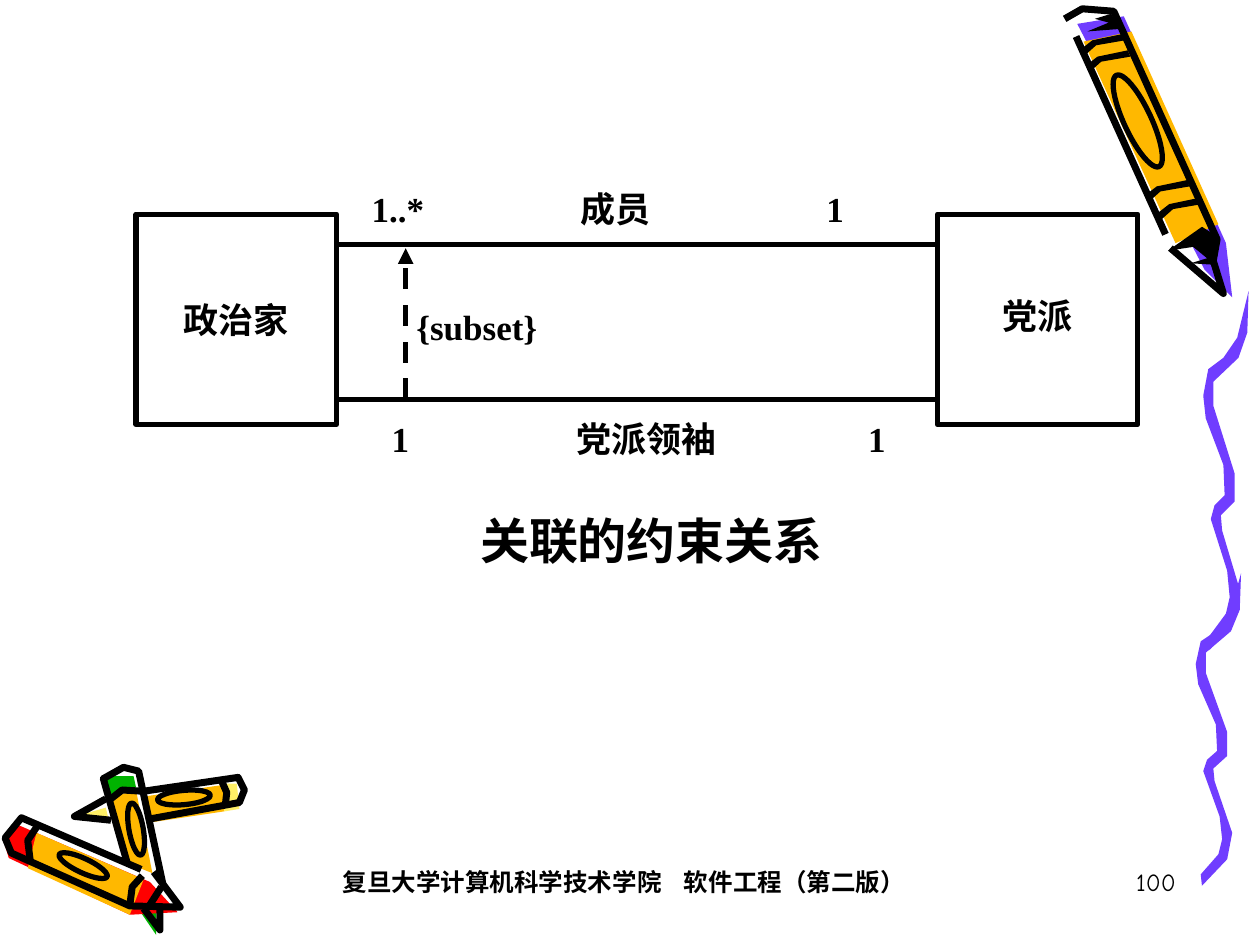
from pptx import Presentation
from pptx.dml.color import RGBColor
from pptx.enum.dml import MSO_LINE
from pptx.enum.shapes import MSO_CONNECTOR, MSO_SHAPE
from pptx.enum.text import MSO_ANCHOR, PP_ALIGN
from pptx.oxml.ns import qn
from pptx.util import Inches, Pt
from lxml.etree import SubElement

COLORS = {"black": "000000", "white": "FFFFFF", "paper": "F8F8F8", "purple": "703DFF",
          "orange": "FFB800", "yellow": "FFEF66", "red": "FF0000", "green": "00B200"}
SERIF, COMIC = "Times New Roman", "Comic Neue"

# Diagram content: places are left, top, width, height in inches
CLASSES = [("政治家", 1.08, 1.0), ("党派", 7.44, 0.8)]  # name, left, line spacing
CLASS_TOP, CLASS_WIDTH, CLASS_HEIGHT = 1.7, 1.59, 1.67
ASSOCIATIONS = [  # box, words with the centre of each, y of the line
    ((2.83, 1.5, 4.48, 0.58), [("1..*", 3.16), ("成员", 4.89), ("1", 6.63)], 1.94),
    ((2.83, 3.33, 4.48, 0.5), [("1", 3.18), ("党派领袖", 5.13), ("1", 6.96)], 3.17),
]
CONSTRAINT = ("{subset}", (2.92, 2.26, 1.73, 0.72))
CONSTRAINT_X, CONSTRAINT_TOP = 3.22, 1.97
CAPTION = ("关联的约束关系", (3.67, 4.09, 3, 0.58))
FOOTER = ((2, 6.83, 5.92, 0.5), [("复旦大学计算机科学技术学院", 2.72), ("软件工程（第二版）", 5.43)])
PAGE_NUMBER = ("100", (7.35, 6.83, 2.08, 0.5))
INSET = 0.1

# Crayons and squiggle, in hundredths of an inch, back to front
CRAYON_FILLS = [
    ("purple", [(855, 19), (956, 214), (978, 236), (973, 193), (892, 13)]),
    ("orange", [(933, 193), (967, 178), (898, 25), (860, 33)]),
    ("black", [(927, 199), (954, 180), (968, 189), (961, 210), (945, 209), (958, 205), (947, 196)]),
    ("black", [(863, 25), (889, 23), (882, 11), (869, 15), (880, 18)]),
    ("yellow", [(60, 648), (84, 641), (87, 653)]),
    ("orange", [(116, 632), (177, 623), (178, 644), (118, 653)]),
    ("yellow", [(177, 622), (188, 622), (190, 642), (178, 644)]),
    ("orange", [(88, 633), (108, 627), (121, 693), (101, 685)]),
    ("green", [(84, 616), (106, 616), (108, 625), (87, 634)]),
    ("green", [(111, 723), (124, 723), (124, 742)]),
    ("red", [(15, 655), (119, 700), (141, 724), (103, 726), (7, 681), (3, 668)]),
    ("orange", [(22, 689), (103, 726), (114, 698), (29, 661)]),
]
CRAYON_STROKES = [
    [(845, 15), (859, 7), (884, 9), (966, 190), (963, 207), (971, 233), (929, 197)],
    [(854, 29), (925, 186)],
    [(114, 628), (189, 617), (194, 627), (190, 637), (119, 650)],
    [(84, 634), (59, 648), (88, 651)],
    [(176, 620), (180, 629), (179, 638)],
    [(101, 685), (82, 618), (98, 609), (110, 612), (130, 705)],
    [(88, 634), (97, 627), (113, 628)],
    [(114, 721), (127, 738), (127, 719)],
    [(112, 690), (17, 649), (4, 665), (9, 677), (103, 719), (143, 720), (122, 692)],
    [(113, 695), (105, 704), (103, 719)],
    [(128, 704), (119, 718)],
    [(30, 655), (22, 667), (24, 683)],
]
BAND = [(0, 0), (9, -8), (32, -12), (30, -17), (6, -12), (-3, -5)]
BAND_STARTS = [(861, 44), (865, 57), (912, 160), (922, 174)]
LABEL_OVALS = [(9.03, 0.96, 0.8, 65), (0.66, 6.87, 0.42, 25),  # centre x, y, length, turn
               (1.08, 6.58, 0.42, 80), (1.46, 6.33, 0.42, -5)]
OVAL_RATIO = 0.27
SQUIGGLE = [(953, 694), (967, 678), (970, 666), (968, 648), (955, 612), (958, 603), (966, 596),
            (965, 575), (951, 543), (949, 527), (953, 509), (965, 501), (976, 487), (985, 455),
            (984, 484), (977, 501), (957, 518), (957, 534), (974, 581), (974, 600), (963, 610),
            (964, 620), (978, 661), (974, 682), (954, 703)]
SQUIGGLE_TOP, UPPER_TOP, UPPER_SHIFT, UPPER_STRETCH = 455, 231, 6, 1.15

prs = Presentation()
prs.slide_width, prs.slide_height = Inches(10), Inches(7.5)
slide = prs.slides.add_slide(prs.slide_layouts[6])
shapes = slide.shapes


def rgb(name):
    return RGBColor.from_string(COLORS[name])


def paint(shape, fill=None, line_width=None):
    shape.shadow.inherit = False
    if fill:
        shape.fill.solid()
        shape.fill.fore_color.rgb = rgb(fill)
    else:
        shape.fill.background()
    if line_width:
        shape.line.color.rgb = rgb("black")
        shape.line.width = Pt(line_width)
    else:
        shape.line.fill.background()
    return shape


def draw_outline(points, fill=None, line_width=None):
    builder = shapes.build_freeform(*points[0], scale=Inches(0.01))
    builder.add_line_segments(points[1:], close=bool(fill))
    paint(builder.convert_to_shape(), fill, line_width)


def add_line(start, end, dashed_arrow=False):
    line = shapes.add_connector(MSO_CONNECTOR.STRAIGHT, *map(Inches, start + end))
    line.line.color.rgb = rgb("black")
    line.line.width = Pt(3)
    if dashed_arrow:
        line.line.dash_style = MSO_LINE.DASH
        SubElement(line.line._get_or_add_ln(), qn("a:tailEnd"), type="triangle")
    SubElement(line._element.spPr, qn("a:effectLst"))


def add_box(place, fill=None, line_width=None, preset=MSO_SHAPE.RECTANGLE):
    return paint(shapes.add_shape(preset, *map(Inches, place)), fill, line_width)


def write(box, words, size=20, font=SERIF, bold=True, align=PP_ALIGN.CENTER,
          anchor=MSO_ANCHOR.TOP, spacing=0.8, tabs=(), tab_kind="ctr"):
    frame = box.text_frame
    frame.word_wrap = True
    frame.vertical_anchor = anchor
    paragraph = frame.paragraphs[0]
    paragraph.alignment = align
    paragraph.line_spacing = spacing
    if tabs:
        stops = SubElement(paragraph._p.get_or_add_pPr(), qn("a:tabLst"))
        for stop in tabs:
            SubElement(stops, qn("a:tab"), pos=str(Inches(stop)), algn=tab_kind)
    run = paragraph.add_run()
    run.text = words
    run.font.name, run.font.size, run.font.bold = font, Pt(size), bold
    run.font.color.rgb = rgb("black")


def write_spread(box, left, words, **style):
    write(box, "".join("\t" + word for word, _ in words), align=PP_ALIGN.LEFT,
          tabs=[x - left - INSET for _, x in words], **style)


# Crayons
for color, points in CRAYON_FILLS:
    draw_outline(points, color)
for points in CRAYON_STROKES:
    draw_outline(points, line_width=4)
for left, top in BAND_STARTS:
    draw_outline([(left + x, top + y) for x, y in BAND], "black")
for x, y, length, turn in LABEL_OVALS:
    height = length * OVAL_RATIO
    oval = add_box((x - length / 2, y - height / 2, length, height), line_width=3, preset=MSO_SHAPE.OVAL)
    oval.rotation = turn

# Squiggle: the upper strand is the lower one, stretched
draw_outline(SQUIGGLE, "purple")
draw_outline([(x + UPPER_SHIFT, UPPER_TOP + (y - SQUIGGLE_TOP) * UPPER_STRETCH) for x, y in SQUIGGLE],
             "purple")

# Footer
footer_place, footer_words = FOOTER
write_spread(shapes.add_textbox(*map(Inches, footer_place)), footer_place[0], footer_words,
             size=14, font=COMIC, spacing=1.0, tab_kind="l")

# Association labels and constraint
for place, words, _ in ASSOCIATIONS:
    write_spread(add_box(place, "white"), place[0], words)
constraint, constraint_place = CONSTRAINT
write(shapes.add_textbox(*map(Inches, constraint_place)), constraint, anchor=MSO_ANCHOR.MIDDLE)

# Classes and the lines between them
for name, left, spacing in CLASSES:
    write(add_box((left, CLASS_TOP, CLASS_WIDTH, CLASS_HEIGHT), line_width=3), name,
          anchor=MSO_ANCHOR.MIDDLE, spacing=spacing)
for _, _, y in ASSOCIATIONS:
    add_line((CLASSES[0][1] + CLASS_WIDTH, y), (CLASSES[1][1], y))
add_line((CONSTRAINT_X, ASSOCIATIONS[1][2]), (CONSTRAINT_X, CONSTRAINT_TOP), dashed_arrow=True)

# Caption and page number
caption, caption_place = CAPTION
write(add_box(caption_place, "white"), caption, size=28)
page_number, page_place = PAGE_NUMBER
write(shapes.add_textbox(*map(Inches, page_place)), page_number, size=14, font=COMIC, bold=False,
      align=PP_ALIGN.RIGHT, spacing=1.0)

prs.save("out.pptx")
